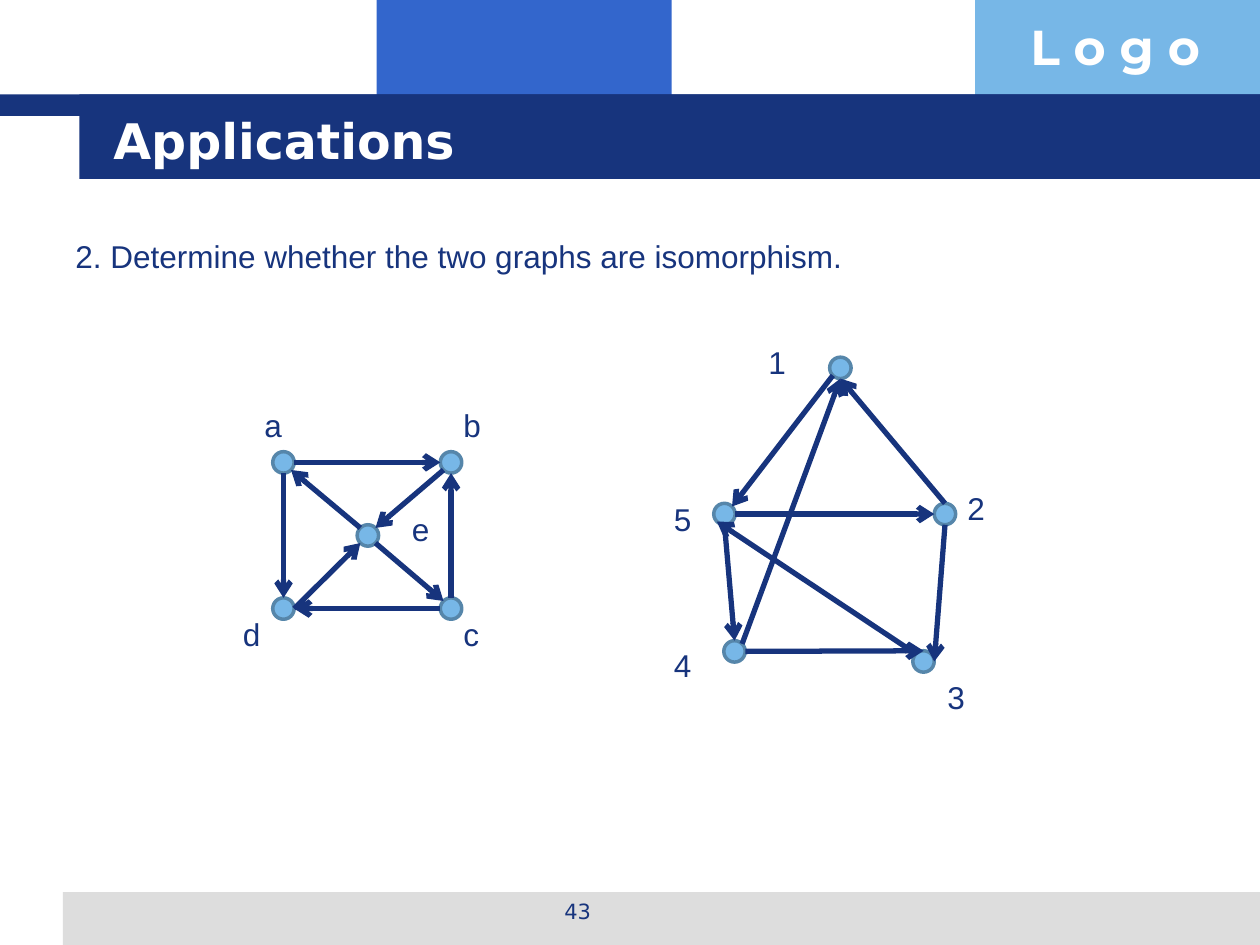
from math import sqrt

from lxml import etree
from pptx import Presentation
from pptx.dml.color import RGBColor
from pptx.enum import shapes, text
from pptx.oxml import ns
from pptx.util import Inches, Pt

NAVY = RGBColor(0x17, 0x34, 0x7D)
BLUE = RGBColor(0x33, 0x66, 0xCC)
SKY = RGBColor(0x77, 0xB7, 0xE7)
RIM = RGBColor(0x56, 0x86, 0xAA)
GREY = RGBColor(0xDD, 0xDD, 0xDD)
WHITE = RGBColor(0xFF, 0xFF, 0xFF)

# Content: left, top, width, height, fill
BANDS = [
    (2.99, 0, 2.34, 0.92, BLUE),
    (7.74, 0, 2.26, 0.92, SKY),
    (0.5, 7.08, 9.5, 0.42, GREY),
    (0, 0.75, 10, 0.17, NAVY),
    (0.63, 0.75, 9.37, 0.67, NAVY),
]
TITLE = "Applications"
QUESTION = "2. Determine whether the two graphs are isomorphism."

# Each vertex: (centre x, centre y), (label left, label top)
# Each edge: start vertex, start side, end vertex, end side
GRAPHS = [
    {
        "vertices": {
            "a": ((2.25, 3.67), (2, 3.17)),
            "b": ((3.58, 3.67), (3.58, 3.17)),
            "c": ((3.58, 4.83), (3.58, 4.83)),
            "d": ((2.25, 4.83), (1.83, 4.83)),
            "e": ((2.92, 4.25), (3.17, 4)),
        },
        "edges": [
            ("a", "S", "d", "N"), ("c", "W", "d", "E"),
            ("d", "E", "e", "SW"), ("e", "SE", "c", "NW"),
            ("b", "SW", "e", "NE"), ("e", "NW", "a", "SE"),
            ("a", "E", "b", "W"), ("c", "N", "b", "S"),
        ],
    },
    {
        "vertices": {
            "1": ((6.67, 2.92), (6, 2.67)),
            "2": ((7.5, 4.08), (7.58, 3.83)),
            "3": ((7.33, 5.25), (7.42, 5.33)),
            "4": ((5.83, 5.17), (5.25, 5.08)),
            "5": ((5.75, 4.08), (5.25, 3.92)),
        },
        "edges": [
            ("4", "E", "3", "N"), ("2", "S", "3", "E"),
            ("3", "NW", "5", "SW"), ("5", "E", "2", "W"),
            ("1", "SW", "5", "NE"), ("5", "S", "4", "N"),
            ("4", "NE", "1", "S"), ("2", "N", "1", "S"),
        ],
    },
]
DIAMETER = 0.17


def format_text(box, words, size=18, font="Arial", color=NAVY, bold=False,
                align=text.PP_ALIGN.LEFT, anchor=text.MSO_ANCHOR.TOP, wrap=True):
    frame = box.text_frame
    frame.auto_size = text.MSO_AUTO_SIZE.NONE
    frame.word_wrap = wrap
    frame.vertical_anchor = anchor
    para = frame.paragraphs[0]
    para.alignment = align
    span = para.add_run()
    span.text = words
    span.font.size, span.font.name = Pt(size), font
    span.font.bold, span.font.color.rgb = bold, color


def add_text(parent, left, top, width, height, words, **style):
    box = parent.add_textbox(*map(Inches, (left, top, width, height)))
    format_text(box, words, **style)


def add_filled(parent, kind, left, top, width, height, fill, rim=None):
    shape = parent.add_shape(kind, *map(Inches, (left, top, width, height)))
    shape.shadow.inherit = False
    shape.fill.solid()
    shape.fill.fore_color.rgb = fill
    if rim is None:
        shape.line.fill.background()
    else:
        shape.line.color.rgb, shape.line.width = rim, Pt(2)


def rim_point(centre, side):
    """Point on a vertex's rim in a compass direction."""
    dx = ("E" in side) - ("W" in side)
    dy = ("S" in side) - ("N" in side)
    reach = DIAMETER / 2 / sqrt(dx * dx + dy * dy)
    return Inches(centre[0] + dx * reach), Inches(centre[1] + dy * reach)


def add_arrow(parent, start, end):
    arrow = parent.add_connector(shapes.MSO_CONNECTOR.STRAIGHT, *start, *end)
    arrow.line.color.rgb, arrow.line.width = NAVY, Pt(3)
    etree.SubElement(arrow.line._get_or_add_ln(), ns.qn("a:tailEnd"), type="arrow")
    etree.SubElement(arrow.element.spPr, ns.qn("a:effectLst"))


def add_graph(page, vertices, edges):
    group = page.shapes.add_group_shape().shapes
    for (x, y), _ in vertices.values():
        add_filled(group, shapes.MSO_SHAPE.OVAL, x - DIAMETER / 2, y - DIAMETER / 2,
                   DIAMETER, DIAMETER, SKY, rim=RIM)
    for first, leaving, last, entering in edges:
        add_arrow(group, rim_point(vertices[first][0], leaving),
                  rim_point(vertices[last][0], entering))
    for name, (_, (left, top)) in vertices.items():
        add_text(group, left, top, 0.33, 0.4, name)


def main():
    deck = Presentation()
    deck.slide_width, deck.slide_height = Inches(10), Inches(7.5)
    page = deck.slides.add_slide(deck.slide_layouts[5])

    # Bands, logo text and page number
    for band in BANDS:
        add_filled(page.shapes, shapes.MSO_SHAPE.RECTANGLE, *band)
    add_text(page.shapes, 8.08, 0.08, 1.93, 0.57, "L o g o", size=28,
             font="Montserrat", color=WHITE, bold=True)
    add_text(page.shapes, 3.42, 7.08, 2.33, 0.35, "43", size=12,
             font="DejaVu Sans", align=text.PP_ALIGN.CENTER)

    # Title, brought in front of its band
    title = page.shapes.title
    title.left, title.top = Inches(0.8), Inches(0.8)
    title.width, title.height = Inches(8.53), Inches(0.62)
    format_text(title, TITLE, size=28, font="DejaVu Sans", color=WHITE, bold=True,
                anchor=text.MSO_ANCHOR.MIDDLE)
    title.element.getparent().append(title.element)

    # Question and graphs
    for graph in GRAPHS:
        add_graph(page, **graph)
    add_text(page.shapes, 0.5, 1.83, 6.5, 0.4, QUESTION)

    deck.save("out.pptx")


if __name__ == "__main__":
    main()
